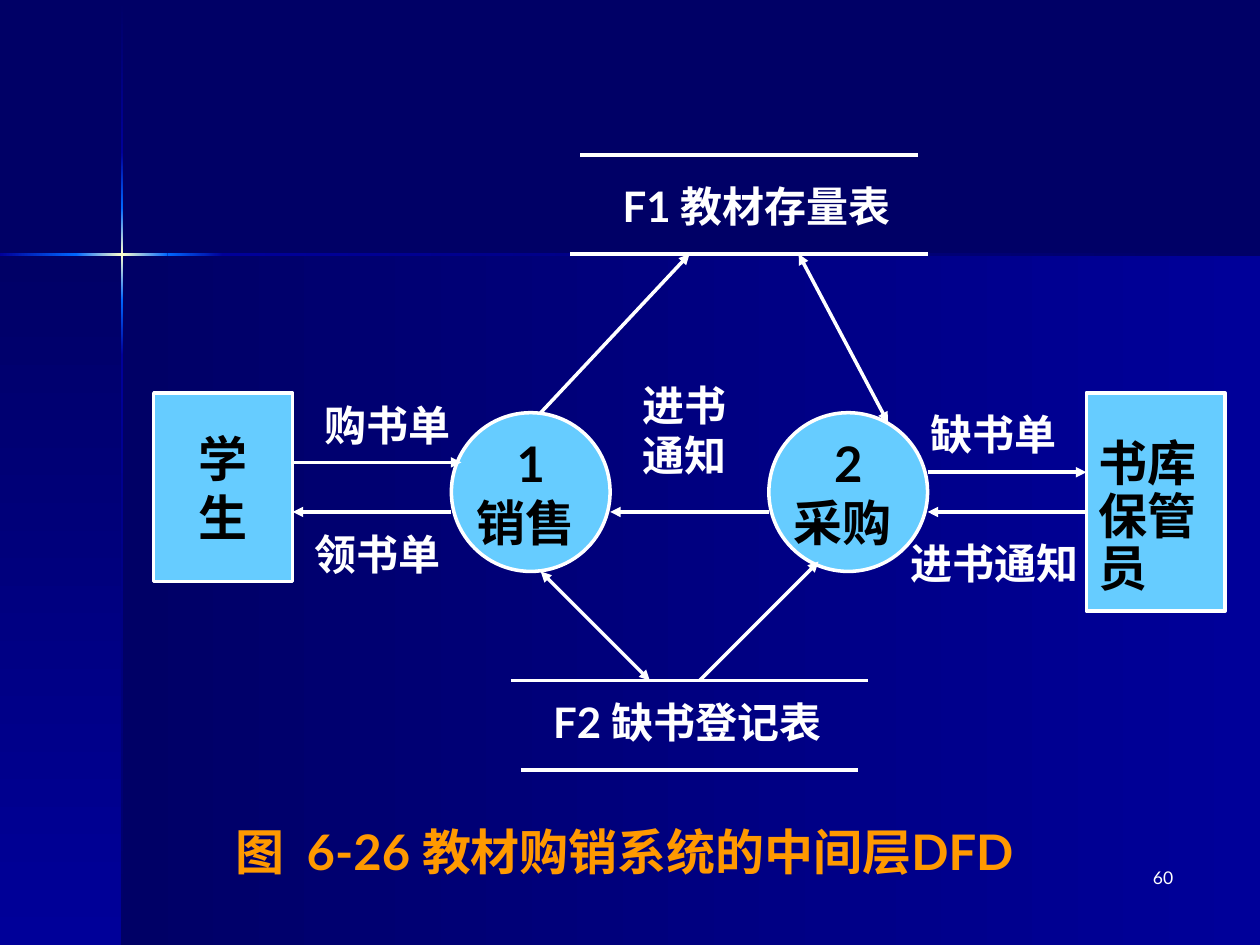
from lxml.etree import SubElement
from pptx import Presentation
from pptx.dml.color import RGBColor
from pptx.enum.shapes import MSO_CONNECTOR as Connector, MSO_SHAPE as Shape
from pptx.enum.text import MSO_ANCHOR as Anchor, PP_ALIGN as Align
from pptx.oxml.ns import qn
from pptx.util import Cm, Pt

COLORS = {
    "night": "000066", "navy": "000099", "blue": "0066FF", "glow": "FFFFCC",
    "sky": "66CCFF", "white": "FFFFFF", "black": "000000", "orange": "FF9900",
}
FONT = "Lato"


def rgb(name):
    return RGBColor.from_string(COLORS[name])


def write(shape, lines, size, color, bold=True, align=Align.LEFT, spacing=None):
    frame = shape.text_frame
    frame.text = "\n".join(lines)
    for paragraph in frame.paragraphs:
        paragraph.alignment = align
        paragraph.line_spacing = spacing
        font = paragraph.font
        font.name, font.size, font.bold = FONT, Pt(size), bold
        font.color.rgb = rgb(color)
    return frame


def add_text(slide, left, top, width, lines, size=24, color="white", **style):
    box = slide.shapes.add_textbox(Cm(left), Cm(top), Cm(width), Cm(1.27))
    write(box, lines, size, color, **style).word_wrap = True


def add_gradient(slide, left, top, width, height, angle, colors):
    """Rectangle with evenly spaced colour stops; angle runs clockwise."""
    shape = slide.shapes.add_shape(
        Shape.RECTANGLE, Cm(left), Cm(top), Cm(width), Cm(height))
    shape.shadow.inherit = False
    shape.line.fill.background()
    shape.fill.gradient()
    shape.fill.gradient_angle = 360 - angle
    stops = shape._element.spPr.find(".//" + qn("a:gsLst"))
    for stop in list(stops):
        stops.remove(stop)
    for index, name in enumerate(colors):
        position = 100000 * index // (len(colors) - 1)
        stop = SubElement(stops, qn("a:gs"), pos=str(position))
        SubElement(stop, qn("a:srgbClr"), val=COLORS[name])


def add_line(slide, x1, y1, x2, y2, ends=()):
    line = slide.shapes.add_connector(
        Connector.STRAIGHT, Cm(x1), Cm(y1), Cm(x2), Cm(y2))
    line.line.color.rgb = rgb("white")
    line.line.width = Pt(2)
    outline = line.line._get_or_add_ln()
    for end in ends:
        SubElement(outline, qn(f"a:{end}"), type="triangle")
    SubElement(line._element.spPr, qn("a:effectLst"))


def add_node(slide, kind, left, top, width, height, lines, **style):
    shape = slide.shapes.add_shape(kind, Cm(left), Cm(top), Cm(width), Cm(height))
    shape.shadow.inherit = False
    shape.fill.solid()
    shape.fill.fore_color.rgb = rgb("sky")
    shape.line.color.rgb = rgb("white")
    shape.line.width = Pt(2)
    frame = write(shape, lines, 28, "black", **style)
    frame.word_wrap = False
    frame.vertical_anchor = Anchor.MIDDLE
    return frame


def add_background(slide, width, height, cross_x, cross_y):
    slide.background.fill.solid()
    slide.background.fill.fore_color.rgb = rgb("night")

    # Lower panels
    lower = height - cross_y
    add_gradient(slide, cross_x, cross_y, width - cross_x, lower, 180,
                 ["navy", "night"])
    add_gradient(slide, 0, cross_y, cross_x, lower, 90, ["night", "navy"])

    # Glowing cross: pieces of each arm, from start to end
    thick = 0.05
    vertical = [
        (0, 3.07, ["night", "navy"]),
        (7.16, height, ["navy", "night"]),
        (6.05, 7.16, ["blue", "navy"]),
        (3.07, 4.19, ["navy", "blue"]),
        (4.19, 6.05, ["blue", "glow", "blue"]),
    ]
    for start, end, colors in vertical:
        add_gradient(slide, cross_x - thick / 2, start, thick, end - start,
                     90, colors)
    horizontal = [
        (4.5, width, ["night", "navy"]),
        (0, 1.53, ["blue", "navy"]),
        (3.38, 4.5, ["navy", "blue"]),
        (1.53, 3.38, ["blue", "glow", "blue"]),
    ]
    for start, end, colors in horizontal:
        add_gradient(slide, start, cross_y - thick / 2, end - start, thick,
                     180, colors)


def add_store(slide, left, top, rules, label):
    """Data store: two horizontal rules with a name between them."""
    for x1, x2, y in rules:
        add_line(slide, left + x1, top + y, left + x2, top + y)
    x, y, width, text = label
    add_text(slide, left + x, top + y, width, [text])


def add_diagram(slide, left, top):
    # Processes
    for x, lines in [(6, ["1", "销售 "]), (12.4, ["2", "采购 "])]:
        add_node(slide, Shape.OVAL, left + x, top + 5.2, 3.2, 3.2, lines,
                 align=Align.CENTER)

    # External entities
    add_node(slide, Shape.RECTANGLE, left, top + 4.8, 2.8, 3.8, ["学", "生"],
             align=Align.CENTER)
    keeper = add_node(slide, Shape.RECTANGLE, left + 18.8, top + 4.8, 2.8, 4.4,
                      ["书库", "保管", "员"], spacing=Pt(30))
    keeper.vertical_anchor = Anchor.TOP
    keeper.margin_top = Cm(0.93)
    keeper.word_wrap = True

    # Data stores
    add_store(slide, left, top, [(8.6, 15.4, 0), (8.4, 15.6, 2)],
              (9.2, 0.4, 6.8, "F1 教材存量表"))
    add_store(slide, left, top, [(7.2, 14.4, 10.6), (7.4, 14.2, 12.4)],
              (7.8, 10.8, 6.2, "F2 缺书登记表"))

    # Data flows
    one_way, two_way = ["tailEnd"], ["headEnd", "tailEnd"]
    flows = [
        (2.8, 6.2, 6.2, 6.2, one_way),
        (6, 7.2, 2.8, 7.2, one_way),
        (12.4, 7.2, 9.2, 7.2, one_way),
        (15.6, 6.4, 18.8, 6.4, one_way),
        (18.8, 7.2, 15.6, 7.2, one_way),
        (7.8, 5.2, 10.8, 2, one_way),
        (13, 2, 14.8, 5.4, two_way),
        (7.8, 8.4, 10, 10.6, two_way),
        (11, 10.6, 13.4, 8.2, one_way),
    ]
    for x1, y1, x2, y2, ends in flows:
        add_line(slide, left + x1, top + y1, left + x2, top + y2, ends)

    # Flow names
    names = [
        (9.6, 4.4, 3.2, ["进书", "通知"]),
        (3, 7.4, 7.6, ["领书单"]),
        (3.2, 4.8, 7.6, ["购书单"]),
        (15.4, 5, 4, ["缺书单"]),
        (15, 7.6, 5.6, ["进书通知"]),
    ]
    for x, y, width, lines in names:
        add_text(slide, left + x, top + y, width, lines)


def add_footer(slide, left, top):
    add_text(slide, left, top, 18.8, ["图  6-26 教材购销系统的中间层DFD"],
             size=28, color="orange")
    add_text(slide, left + 14.12, top + 0.92, 5.28, ["60"], size=10,
             bold=False, align=Align.RIGHT)


def main():
    presentation = Presentation()
    presentation.slide_width, presentation.slide_height = Cm(25.4), Cm(19.05)
    slide = presentation.slides.add_slide(presentation.slide_layouts[6])
    add_background(slide, 25.4, 19.05, 2.46, 5.13)
    add_diagram(slide, 3.1, 3.12)
    add_footer(slide, 4.5, 16.43)
    presentation.save("out.pptx")


if __name__ == "__main__":
    main()
